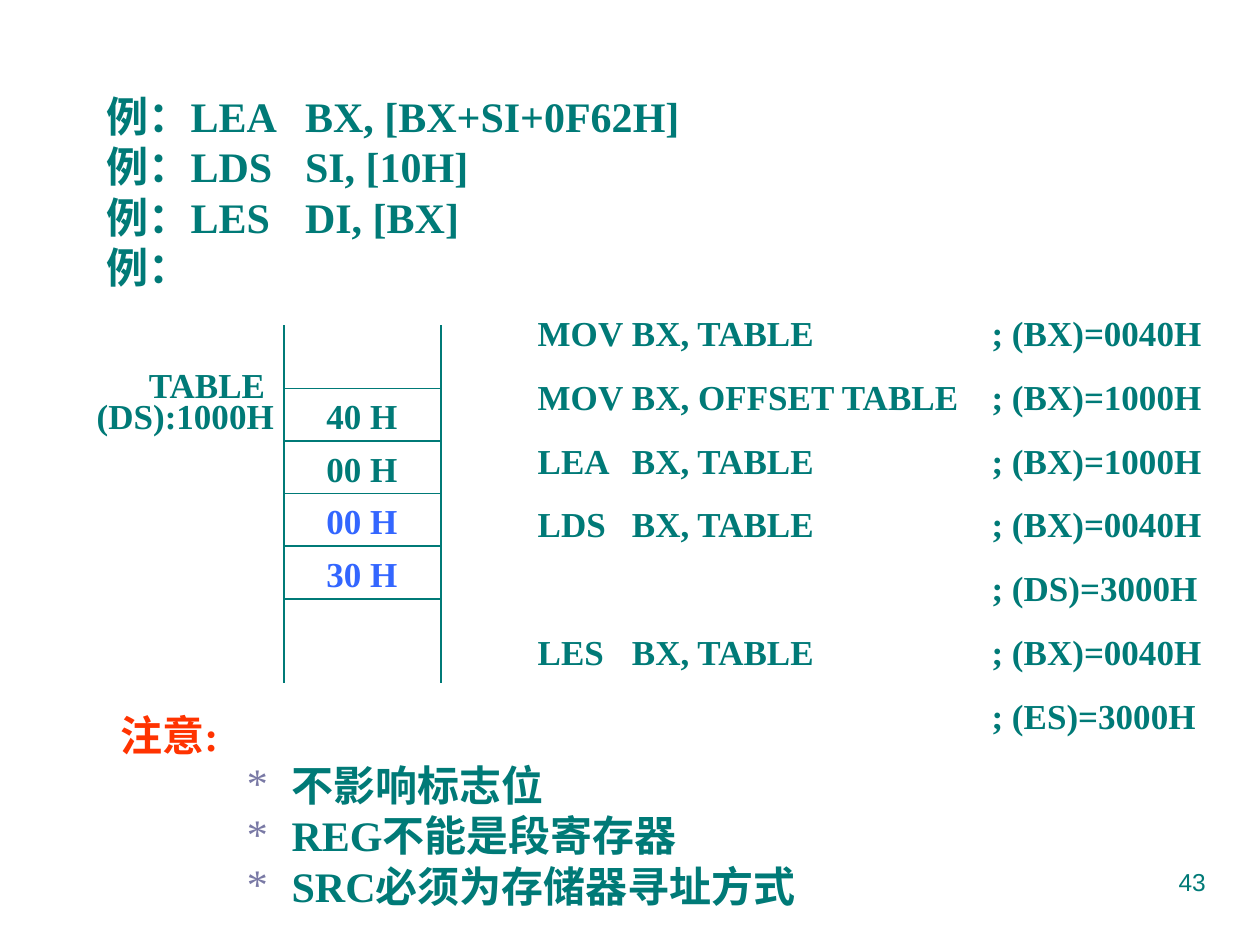
from pptx import Presentation
from pptx.dml.color import RGBColor
from pptx.enum.shapes import MSO_CONNECTOR
from pptx.enum.text import PP_ALIGN
from pptx.oxml.ns import qn
from pptx.util import Cm, Pt
from lxml.etree import SubElement

TEAL = RGBColor(0x00, 0x7A, 0x77)
BLUE = RGBColor(0x33, 0x66, 0xFF)
RED = RGBColor(0xFF, 0x33, 0x00)
MAUVE = RGBColor(0x79, 0x79, 0xA5)
SERIF = "Times New Roman"

prs = Presentation()
prs.slide_width, prs.slide_height = Cm(25.4), Cm(19.05)
s = prs.slides.add_slide(prs.slide_layouts[6])


def add_text(x, y, w, h, lines, size=20, color=TEAL, font=SERIF, gap=0, tabs=()):
    tf = s.shapes.add_textbox(Cm(x), Cm(y), Cm(w), Cm(h)).text_frame
    tf.word_wrap = True
    for i, line in enumerate(lines):
        p = tf.paragraphs[0] if i == 0 else tf.add_paragraph()
        if i and gap:
            p.space_before = Pt(gap)
        if tabs:
            tab_list = SubElement(p._p.get_or_add_pPr(), qn("a:tabLst"))
            for pos in tabs:
                SubElement(tab_list, qn("a:tab"), pos=str(Cm(pos)), algn="l")
        r = p.add_run()
        r.text = line
        r.font.name, r.font.size = font, Pt(size)
        r.font.bold = font == SERIF
        r.font.color.rgb = color
    return tf


def add_line(x1, y1, x2, y2):
    c = s.shapes.add_connector(MSO_CONNECTOR.STRAIGHT, Cm(x1), Cm(y1), Cm(x2), Cm(y2))
    c.line.color.rgb = TEAL
    c.line.width = Pt(1)
    SubElement(c._element.spPr, qn("a:effectLst"))


tf = add_text(18.21, 17.35, 6.35, 1.32, ["43"], size=14, font="Arial")
tf.paragraphs[0].alignment = PP_ALIGN.RIGHT

examples = ["例：LEA\tBX, [BX+SI+0F62H]", "例：LDS\tSI, [10H]", "例：LES\tDI, [BX]", "例："]
add_text(1.9, 1.7, 22.66, 4.32, examples, size=24, tabs=[4])

left, right, top, bottom = 5.72, 8.89, 6.56, 13.76
first, row = 7.83, 1.06
for x in (left, right):
    add_line(x, top, x, bottom)
for i in range(5):
    add_line(left, first + i * row, right, first + i * row)

cells = [("40 H", TEAL), ("00 H", TEAL), ("00 H", BLUE), ("30 H", BLUE)]
for i, (value, color) in enumerate(cells):
    add_text(6.33, first + i * row, 2.5, 1.12, [value], color=color)
add_text(2.75, 7.2, 3.12, 1.12, ["TABLE"])
add_text(1.7, first, 4.3, 1.12, ["(DS):1000H"])

code = [
    "MOV\tBX, TABLE\t; (BX)=0040H",
    "MOV\tBX, OFFSET TABLE\t; (BX)=1000H",
    "LEA\tBX, TABLE\t; (BX)=1000H",
    "LDS\tBX, TABLE\t; (BX)=0040H",
    "\t\t; (DS)=3000H",
    "LES\tBX, TABLE\t; (BX)=0040H",
    "\t\t; (ES)=3000H",
]
add_text(10.59, 6.15, 14.2, 8.84, code, gap=12.5, tabs=[1.9, 9.15])

notes = ["注意:", "不影响标志位", "REG不能是段寄存器", "SRC必须为存储器寻址方式"]
tf = add_text(2.18, 14.17, 14.88, 4.32, notes, size=24)
tf.paragraphs[0].runs[0].font.color.rgb = RED
for p in tf.paragraphs[1:]:
    pPr = p._p.get_or_add_pPr()
    pPr.set("marL", str(Cm(3.45)))
    pPr.set("indent", str(Cm(-0.9)))
    SubElement(SubElement(pPr, qn("a:buClr")), qn("a:srgbClr"), val=str(MAUVE))
    SubElement(pPr, qn("a:buFont"), typeface=SERIF)
    SubElement(pPr, qn("a:buChar"), char="*")

prs.save("out.pptx")
